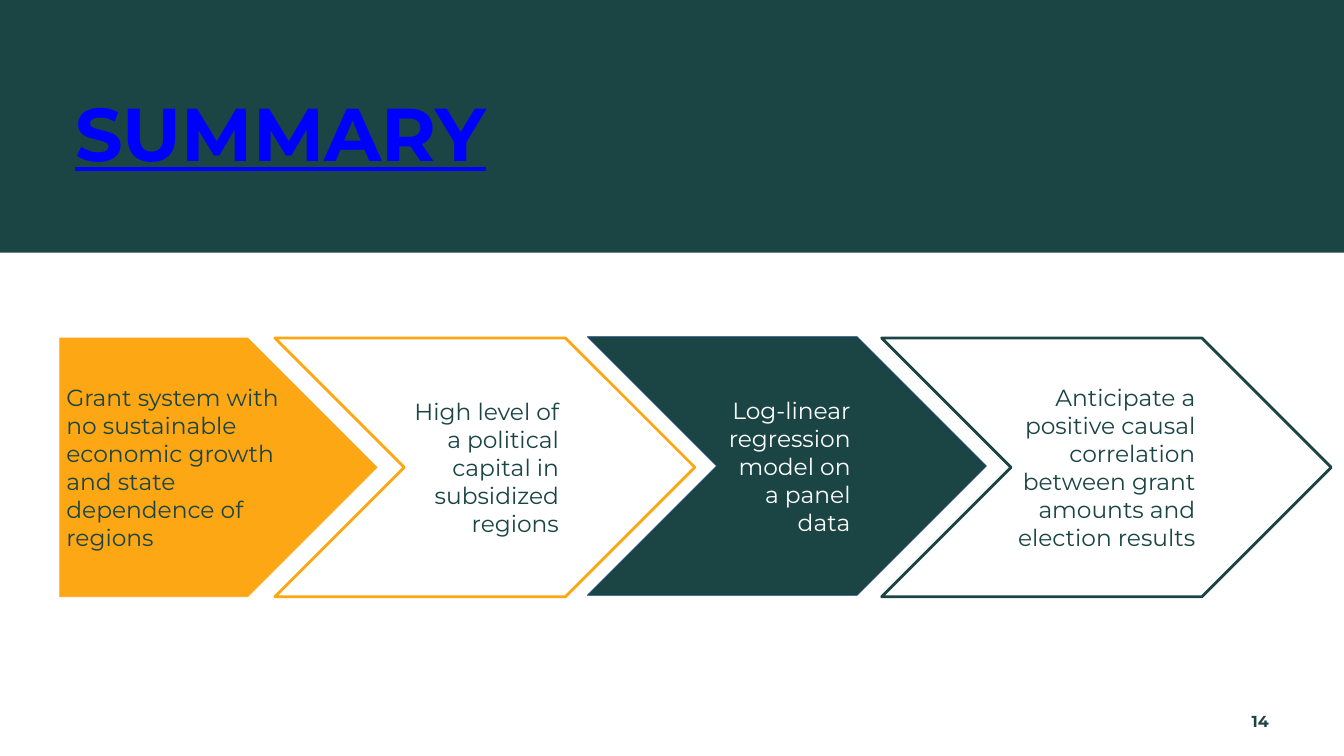
from pptx import Presentation, util as u
from pptx.dml.color import RGBColor
from pptx.enum import shapes, text

COLORS = {"green": "1B4444", "orange": "FDA715", "white": "FFFFFF",
          "link": "0000FF", "navy": "1F497D"}
FONT = "Montserrat"
WIDTH, HEIGHT = 20, 11.25
COLS, ROWS = 200, 112.5  # grid cells of a tenth of an inch
KIND = shapes.MSO_SHAPE
ALIGN = text.PP_ALIGN


def rgb(name):
    return RGBColor.from_string(COLORS[name])


def write(tf, words, size=25, color="green", bold=False, underline=None,
          align=ALIGN.LEFT, spacing=None, anchor=text.MSO_ANCHOR.TOP, inset=0):
    tf.word_wrap = True
    tf.vertical_anchor = anchor
    tf.margin_left = tf.margin_right = u.Inches(inset)
    tf.margin_top = tf.margin_bottom = u.Inches(inset)
    p = tf.paragraphs[0]
    p.alignment = align
    if spacing:
        p.line_spacing = spacing
    r = p.add_run()
    r.text = words
    r.font.name, r.font.size = FONT, u.Pt(size)
    r.font.bold, r.font.underline = bold, underline
    r.font.color.rgb = rgb(color)


class Deck:
    def __init__(self):
        self.prs = Presentation()
        self.prs.slide_width = u.Inches(WIDTH)
        self.prs.slide_height = u.Inches(HEIGHT)
        self.s = self.prs.slides.add_slide(self.prs.slide_layouts[6])

    def box(self, col, row, cols, rows):
        """Turn grid columns and rows into slide lengths."""
        w, h = self.prs.slide_width / COLS, self.prs.slide_height / ROWS
        return [round(n) for n in (col * w, row * h, cols * w, rows * h)]

    def shape(self, kind, place, fill=None, line=None, weight=0.75):
        sp = self.s.shapes.add_shape(kind, *self.box(*place))
        sp.shadow.inherit = False
        if fill:
            sp.fill.solid()
            sp.fill.fore_color.rgb = rgb(fill)
        else:
            sp.fill.background()
        if line:
            sp.line.color.rgb = rgb(line)
            sp.line.width = u.Pt(weight)
        else:
            sp.line.fill.background()
        return sp

    def label(self, place, words, **style):
        sp = self.s.shapes.add_textbox(*self.box(*place))
        write(sp.text_frame, words, **style)

    def step(self, kind, place, words, color="green", align=ALIGN.RIGHT, **look):
        sp = self.shape(kind, place, **look)
        sp.adjustments[0] = 0.5
        write(sp.text_frame, words, color=color, align=align,
              anchor=text.MSO_ANCHOR.MIDDLE, inset=0.1)


def main():
    deck = Deck()
    deck.shape(KIND.RECTANGLE, (0, 0, COLS, 37.6), fill="green")
    deck.label((11.2, 11.6, 119.9, 13.5), "SUMMARY", size=80, color="link",
               bold=True, underline=True, spacing=1.1)
    deck.label((182.8, 105.1, 6, 2.9), "14", size=17, bold=True,
               align=ALIGN.RIGHT, spacing=1.3)

    top, tall = 50.3, 38.5
    deck.step(KIND.PENTAGON, (8.9, top, 47.2, tall),
              "Grant system with no sustainable economic growth and state "
              "dependence of regions",
              align=ALIGN.LEFT, fill="orange", line="orange")
    deck.step(KIND.CHEVRON, (40.9, top, 62.5, tall),
              "High level of a political capital in subsidized regions",
              line="orange", weight=3)
    deck.step(KIND.CHEVRON, (87.4, top - 0.2, 59.4, tall),
              "Log-linear regression model on a panel data",
              color="white", fill="green", line="navy")
    deck.step(KIND.CHEVRON, (131.2, top, 66.9, tall),
              "Anticipate a positive causal correlation between grant amounts "
              "and election results",
              line="green", weight=3)
    deck.prs.save("out.pptx")


if __name__ == "__main__":
    main()
